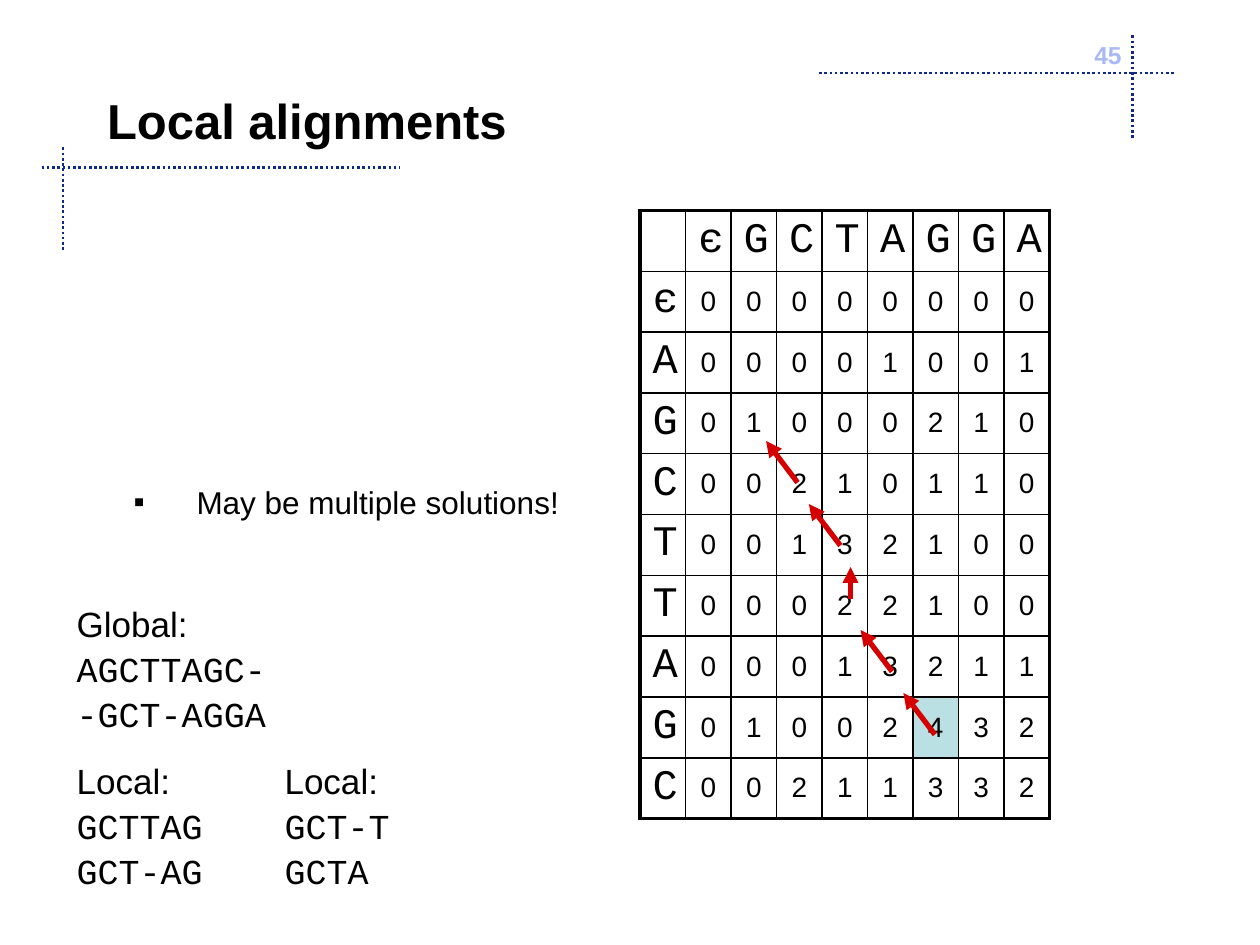
from lxml import etree
from pptx import Presentation
from pptx.dml.color import RGBColor
from pptx.enum.dml import MSO_LINE
from pptx.enum.shapes import MSO_CONNECTOR
from pptx.enum.text import MSO_ANCHOR, MSO_AUTO_SIZE, PP_ALIGN
from pptx.oxml.ns import qn
from pptx.util import Inches, Pt

BLACK = RGBColor(0x00, 0x00, 0x00)
NAVY = RGBColor(0x0E, 0x29, 0x88)
PALE = RGBColor(0xA8, 0xB9, 0xF6)
RED = RGBColor(0xD5, 0x00, 0x00)
AQUA = RGBColor(0xBB, 0xE0, 0xE3)
LEFT, CENTER, RIGHT = PP_ALIGN.LEFT, PP_ALIGN.CENTER, PP_ALIGN.RIGHT
MIDDLE, FIXED = MSO_ANCHOR.MIDDLE, MSO_AUTO_SIZE.NONE
DOTTED, STRAIGHT = MSO_LINE.ROUND_DOT, MSO_CONNECTOR.STRAIGHT

FORMATS = {
    "title": {"name": "Arial", "size": Pt(28), "bold": True},
    "body": {"name": "Arial", "size": Pt(18)},
    "number": {"name": "Arial", "size": Pt(14), "bold": True},
    "label": {"name": "Arial", "size": Pt(20)},
    "code": {"name": "Courier New", "size": Pt(20)},
    "base": {"name": "Courier New", "size": Pt(24)},
    "score": {"name": "Arial", "size": Pt(16)},
}
TIGHT = dict.fromkeys(
    ("margin_left", "margin_top", "margin_right", "margin_bottom"), Inches(0.05))
ACROSS = "єGCTAGGA"
DOWN = "єAGCTTAGC"
SCORES = ["00000000", "00001001", "01000210", "00210110", "00132100",
          "00022100", "00013211", "01002432", "00211332"]
BEST = (8, 6)


class Deck:
    def __init__(self, slide, formats):
        self.slide = slide
        self.formats = formats

    def apply(self, item, values):
        for name, value in values.items():
            setattr(item, name, value)

    def fill_para(self, para, text, style, color=BLACK, align=LEFT):
        para.text = text
        para.alignment = align
        self.apply(para.font, self.formats[style])
        para.font.color.rgb = color

    def place(self, shape, left, top, width, height):
        self.apply(shape, {"left": Inches(left), "top": Inches(top),
                           "width": Inches(width), "height": Inches(height)})
        frame = shape.text_frame
        self.apply(frame, {"word_wrap": True, "auto_size": FIXED})
        return frame

    def title(self, text, *area):
        frame = self.place(self.slide.shapes.title, *area)
        frame.vertical_anchor = MIDDLE
        self.fill_para(frame.paragraphs[0], text, "title")

    def body(self, text, *area):
        frame = self.place(self.slide.placeholders[1], *area)
        self.apply(frame, {"vertical_anchor": MIDDLE, "margin_bottom": Inches(0.26)})
        para = frame.paragraphs[0]
        props = para._p.get_or_add_pPr()
        props.set("marL", str(Inches(0.5)))
        props.set("indent", str(-Inches(0.5)))
        etree.SubElement(props, qn("a:buChar")).set("char", "▪")
        self.fill_para(para, text, "body")
        para.space_before = Pt(0)

    def text(self, rows, *area, color=BLACK, align=LEFT):
        box = self.slide.shapes.add_textbox(0, 0, 0, 0)
        frame = self.place(box, *area)
        for i, (text, style) in enumerate(rows):
            para = frame.add_paragraph() if i else frame.paragraphs[0]
            self.fill_para(para, text, style, color, align)
            if len(rows) > 1:
                para.line_spacing = 0.9
                para.space_before = Pt(4 if i else 0)

    def line(self, x1, y1, x2, y2, color, width, dash=None, arrow=False):
        link = self.slide.shapes.add_connector(
            STRAIGHT, Inches(x1), Inches(y1), Inches(x2), Inches(y2))
        link.line.color.rgb = color
        link.line.width = Pt(width)
        if dash:
            link.line.dash_style = dash
        props = link.element.spPr
        if arrow:
            tail = etree.SubElement(props.find(qn("a:ln")), qn("a:tailEnd"))
            tail.set("type", "triangle")
        etree.SubElement(props, qn("a:effectLst"))

    def border(self, cell, thick):
        props = cell._tc.get_or_add_tcPr()
        for side in "LRTB":
            edge = etree.SubElement(props, qn("a:ln" + side))
            edge.set("w", str(Pt(2.25 if side in thick else 1)))
            fill = etree.SubElement(edge, qn("a:solidFill"))
            etree.SubElement(fill, qn("a:srgbClr")).set("val", str(BLACK))

    def table(self, rows, best, left, top, width, height):
        high, wide = len(rows), len(rows[0])
        table = self.slide.shapes.add_table(
            high, wide, Inches(left), Inches(top), Inches(width), Inches(height)).table
        self.apply(table, {"first_row": False, "horz_banding": False})
        for r, row in enumerate(rows):
            for c, text in enumerate(row):
                cell = table.cell(r, c)
                edges = {"L": c == 0, "R": c == wide - 1, "T": r == 0, "B": r == high - 1}
                self.border(cell, [side for side, outer in edges.items() if outer])
                if (r, c) == best:
                    cell.fill.solid()
                    cell.fill.fore_color.rgb = AQUA
                else:
                    cell.fill.background()
                score = r > 0 and c > 0
                if score:
                    self.apply(cell, TIGHT)
                if score or r == 0:
                    cell.vertical_anchor = MIDDLE
                self.fill_para(cell.text_frame.paragraphs[0], text.strip(),
                               "score" if score else "base",
                               align=CENTER if score else LEFT)


def main():
    show = Presentation()
    show.slide_width, show.slide_height = Inches(10), Inches(7.5)
    deck = Deck(show.slides.add_slide(show.slide_layouts[1]), FORMATS)

    for ends in [(0.33, 1.33, 3.17, 1.33), (0.5, 1.17, 0.5, 2),
                 (8.99, 0.28, 8.99, 1.11), (6.5, 0.58, 9.33, 0.58)]:
        deck.line(*ends, NAVY, 1.5, dash=DOTTED)
    deck.text([("45", "number")], 6.92, 0.27, 2.08, 0.5, color=PALE, align=RIGHT)
    deck.title("Local alignments", 0.75, 0.33, 8.08, 1.25)
    deck.body("May be multiple solutions!", 0.96, 1.67, 3.96, 4.83)

    rows = [" " + ACROSS] + [base + line for base, line in zip(DOWN, SCORES)]
    deck.table(rows, BEST, 5.08, 1.67, 3.25, 4.83)

    for x, y, dx, dy in [(7.42, 5.83, 0.25, 0.33), (6.75, 4.75, 0, 0.25),
                         (7.08, 5.33, 0.25, 0.33), (6.67, 4.33, 0.25, 0.33),
                         (6.33, 3.83, 0.25, 0.33)]:
        deck.line(x, y, x - dx, y - dy, RED, 3, arrow=True)

    for x, y, head, first, second in [
            (0.51, 4.77, "Global:", "AGCTTAGC-", "-GCT-AGGA"),
            (0.51, 6.02, "Local:", "GCTTAG", "GCT-AG"),
            (2.16, 6.02, "Local:", "GCT-T", "GCTA")]:
        deck.text([(head, "label"), (first, "code"), (second, "code")], x, y, 1.75, 1.14)

    show.save("out.pptx")


if __name__ == "__main__":
    main()
